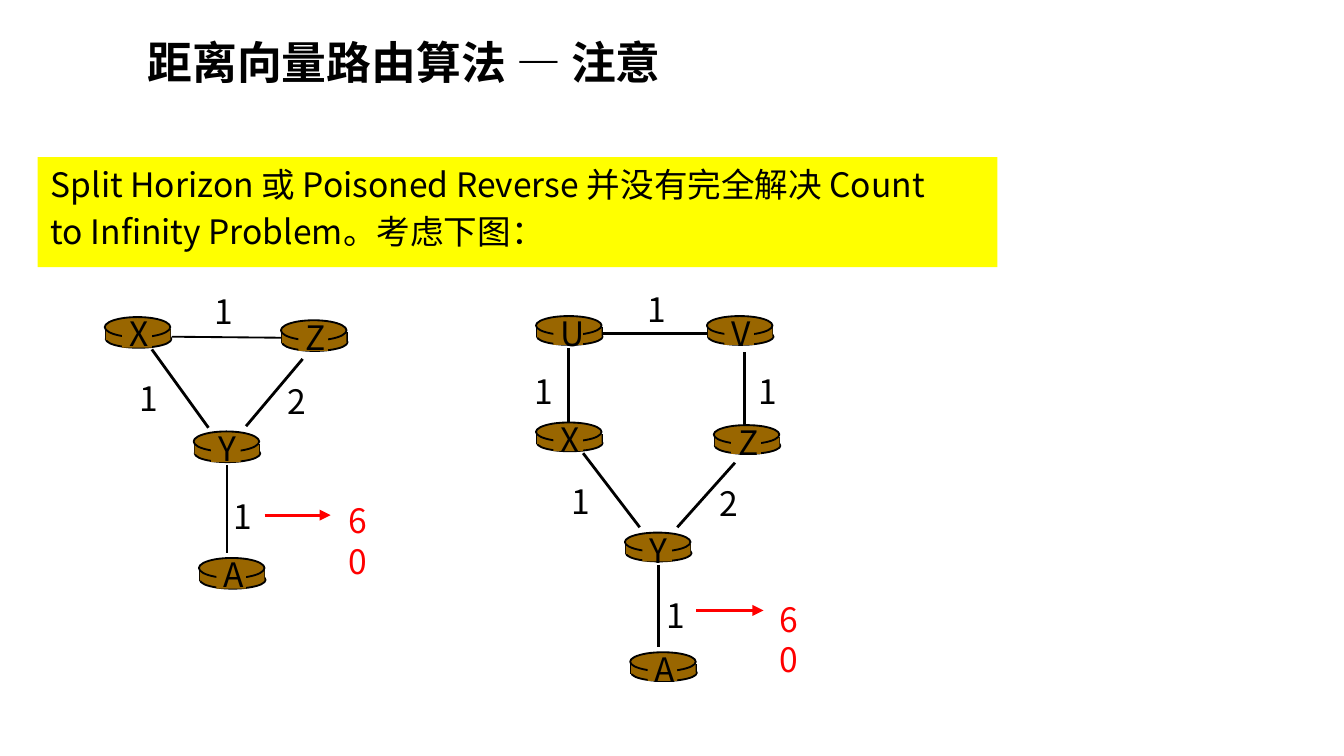
from lxml import etree
from pptx import Presentation
from pptx.dml.color import RGBColor
from pptx.enum.shapes import MSO_CONNECTOR as LINK, MSO_SHAPE as SHAPE
from pptx.enum.text import MSO_ANCHOR as ANCHOR, PP_ALIGN as ALIGN
from pptx.oxml.ns import qn
from pptx.util import Cm, Pt

BLACK = RGBColor(0, 0, 0)
RED = RGBColor(255, 0, 0)
BROWN = RGBColor(0x99, 0x66, 0)
YELLOW = RGBColor(255, 255, 0)
FONT = "Noto Sans CJK SC"


def write(box, lines, color=BLACK, size=18, bold=False, align=ALIGN.CENTER,
          margins=(0.25, 0.13), **frame_format):
    frame = box.text_frame
    side, edge = (Cm(margin) for margin in margins)
    layout = {"margin_left": side, "margin_right": side, "margin_top": edge,
              "margin_bottom": edge, "word_wrap": False,
              "vertical_anchor": ANCHOR.TOP, **frame_format}
    for key, value in layout.items():
        setattr(frame, key, value)
    for index, line in enumerate(lines):
        paragraph = frame.add_paragraph() if index else frame.paragraphs[0]
        paragraph.alignment = align
        paragraph.line_spacing = Pt(size * 1.2)
        if index:
            paragraph.space_before = Pt(size * 0.2)
        run = paragraph.add_run()
        run.text = line
        for key, value in {"name": FONT, "size": Pt(size), "bold": bold}.items():
            setattr(run.font, key, value)
        run.font.color.rgb = color
        east_asian = etree.SubElement(run.font._element, qn("a:ea"))
        east_asian.set("typeface", FONT)


def draw_line(shapes, ends, width, color=BLACK, arrow=False):
    line = shapes.add_connector(LINK.STRAIGHT, *(Cm(value) for value in ends))
    line.line.color.rgb = color
    line.line.width = Pt(width)
    if arrow:
        head = etree.SubElement(line.line._get_or_add_ln(), qn("a:tailEnd"))
        head.set("type", "triangle")
    etree.SubElement(line._element.spPr, qn("a:effectLst"))


networks = [
    {
        "stretch": 1,
        "routers": [("X", 1.98, 5.99), ("Z", 5.31, 6.05),
                    ("Y", 3.66, 8.15), ("A", 3.76, 10.54)],
        "links": [(3.25, 6.36, 5.38, 6.38, 1), (2.87, 6.6, 3.94, 8.08, 1.5),
                  (4.65, 8.05, 5.72, 6.78, 1.5), (4.29, 8.79, 4.29, 10.44, 1.5)],
        "costs": [("1", 4.06, 5.49), ("2", 5.44, 7.19),
                  ("1", 2.64, 7.14), ("1", 4.42, 9.37)],
        "change": (5, 9.73, 6.25, 9.73),
        "new_cost": (6.2, 9.32),
    },
    {
        "stretch": 0.94,
        "routers": [("U", 10.13, 5.97), ("V", 13.36, 5.97), ("X", 10.13, 7.98),
                    ("Z", 13.49, 8.03), ("Y", 11.81, 10.06), ("A", 11.91, 12.32)],
        "links": [(11.4, 6.3, 13.36, 6.3, 1.5), (10.74, 6.58, 10.74, 7.98, 1.5),
                  (14.07, 6.65, 14.07, 8.05, 1.5), (11.02, 8.56, 12.09, 9.96, 1.5),
                  (12.8, 9.96, 13.89, 8.74, 1.5), (12.45, 10.67, 12.45, 12.22, 1.5)],
        "costs": [("1", 12.24, 5.46), ("1", 10.11, 7.01), ("1", 14.33, 7.01),
                  ("1", 10.8, 9.09), ("2", 13.59, 9.12), ("1", 12.6, 11.23)],
        "change": (13.16, 11.53, 14.43, 11.53),
        "new_cost": (14.35, 11.18),
    },
]
router_parts = [
    (SHAPE.OVAL, 0.02, 0.25, 1.24, 0.33, True),
    (SHAPE.RECTANGLE, 0.02, 0.23, 1.22, 0.2, False),
    (SHAPE.OVAL, 0, 0, 1.24, 0.38, True),
    (SHAPE.RECTANGLE, 0.33, 0.05, 0.56, 0.53, False),
]

deck = Presentation()
deck.slide_width, deck.slide_height = Cm(25.4), Cm(14.28)
slide = deck.slides.add_slide(deck.slide_layouts[6])

notice = slide.shapes.add_shape(SHAPE.RECTANGLE, Cm(0.71), Cm(2.97), Cm(18.14), Cm(2.08))
notice.shadow.inherit = False
notice.fill.solid()
notice.fill.fore_color.rgb = YELLOW
notice.line.fill.background()
write(notice, ["Split Horizon 或 Poisoned Reverse 并没有完全解决 Count",
               "to Infinity Problem。考虑下图："], align=ALIGN.LEFT, word_wrap=True)

for network in networks:
    shapes = slide.shapes.add_group_shape().shapes
    stretch = network["stretch"]
    for *ends, width in network["links"]:
        draw_line(shapes, ends, width)
    for name, left, top in network["routers"]:
        for wall in (0.02, 1.24):
            draw_line(shapes, (left + wall, top + 0.23 * stretch,
                               left + wall, top + 0.43 * stretch), 1)
        for kind, x, y, width, height, outlined in router_parts:
            part = shapes.add_shape(kind, Cm(left + x), Cm(top + y * stretch),
                                    Cm(width), Cm(height * stretch))
            part.shadow.inherit = False
            part.fill.solid()
            part.fill.fore_color.rgb = BROWN
            if outlined:
                part.line.color.rgb = BLACK
                part.line.width = Pt(1)
            else:
                part.line.fill.background()
        label = shapes.add_textbox(Cm(left + 0.21), Cm(top - 0.2 * stretch),
                                   Cm(0.84), Cm(0.94 * stretch))
        write(label, [name])
    for cost, left, top in network["costs"]:
        cost_box = shapes.add_textbox(Cm(left), Cm(top), Cm(0.33), Cm(0.71 * stretch))
        write(cost_box, [cost], margins=(0, 0))
    draw_line(shapes, network["change"], 1.5, RED, arrow=True)
    left, top = network["new_cost"]
    new_cost = shapes.add_textbox(Cm(left), Cm(top), Cm(1.12), Cm(0.94 * stretch))
    write(new_cost, ["60"], RED, word_wrap=True)

title = slide.shapes.add_textbox(Cm(2.54), Cm(0.53), Cm(18.11), Cm(1.27))
write(title, ["距离向量路由算法 — 注意"], size=24, bold=True, align=ALIGN.LEFT,
      word_wrap=True, vertical_anchor=ANCHOR.MIDDLE)

deck.save("out.pptx")
